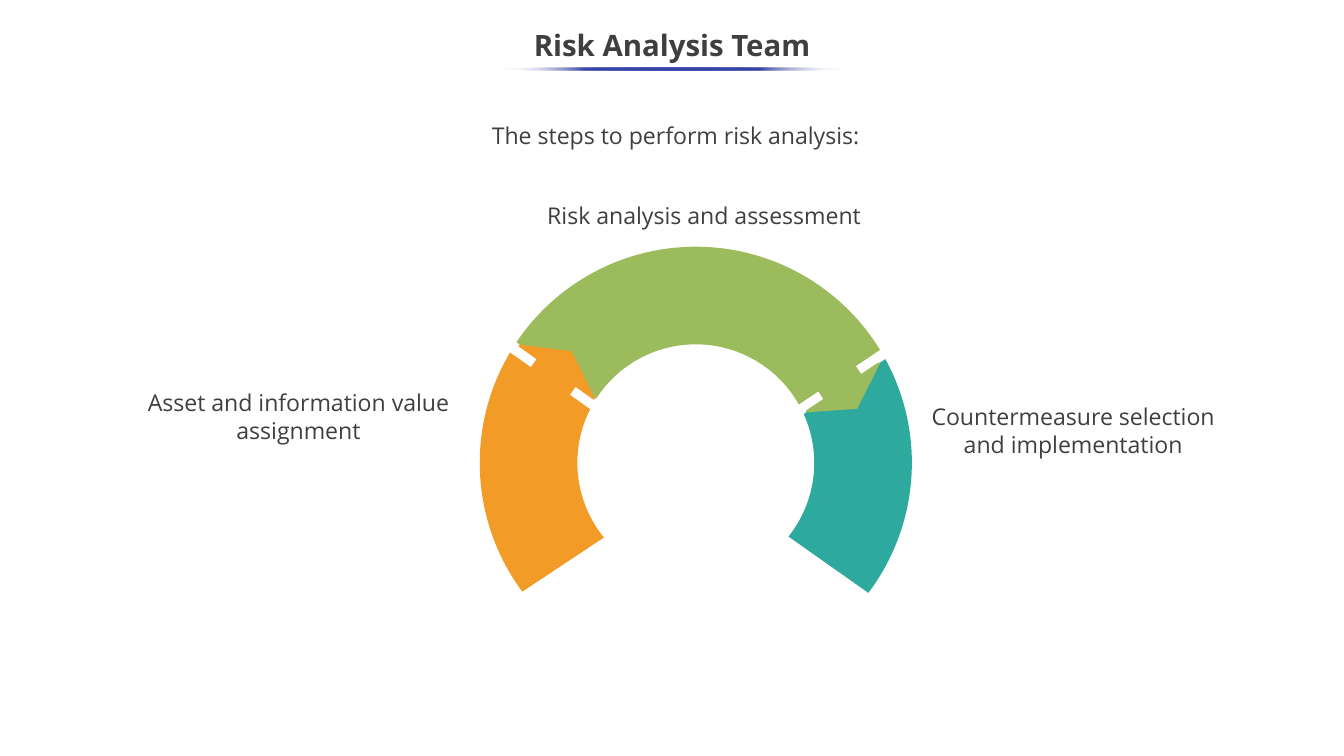
from dataclasses import dataclass
from math import cos, radians, sin, tan

from lxml.etree import SubElement
from pptx import Presentation
from pptx.dml.color import RGBColor
from pptx.enum.shapes import MSO_SHAPE
from pptx.enum.text import MSO_ANCHOR, MSO_AUTO_SIZE, PP_ALIGN
from pptx.oxml.ns import qn
from pptx.util import Cm, Pt


@dataclass(frozen=True)
class Theme:
    font: str = "Open Sans"
    text: str = "3F3F3F"
    countermeasure: str = "2DA99D"
    assessment: str = "9BBB5C"
    asset: str = "F29B26"
    rule: str = "3645A9"
    rule_end: str = "FFFFFF"
    title_size: int = 28
    body_size: int = 22
    arrow_line: int = 2


class SlideBuilder:
    def __init__(self, slide, theme):
        self.slide = slide
        self.theme = theme

    def text(self, words, left, top, width, height, size=None, bold=False,
             spacing=None, anchor=MSO_ANCHOR.TOP, side_inset=0.25):
        box = self.slide.shapes.add_textbox(Cm(left), Cm(top), Cm(width), Cm(height))
        frame = box.text_frame
        frame.word_wrap = True
        frame.vertical_anchor = anchor
        frame.margin_left = frame.margin_right = Cm(side_inset)
        frame.margin_top = frame.margin_bottom = Cm(0.13)
        frame.text = words
        paragraph = frame.paragraphs[0]
        paragraph.alignment = PP_ALIGN.CENTER
        paragraph.line_spacing = spacing
        font = paragraph.runs[0].font
        font.name = self.theme.font
        font.size = Pt(size or self.theme.body_size)
        font.bold = bold
        font.color.rgb = RGBColor.from_string(self.theme.text)
        return frame

    def step_label(self, words, left, top, width, height):
        frame = self.text(words, left, top, width, height)
        frame.auto_size = MSO_AUTO_SIZE.SHAPE_TO_FIT_TEXT

    def ring_segment(self, color, outer_angles, inner_angles):
        """Draw part of the ring from (start, axis, end) degrees, counterclockwise from the right."""
        center_x, center_y, outer_radius, inner_radius = 23.38, 15.55, 7.26, 3.98

        def point(radius, degrees, tangent=0):
            """Give the point on the circle, moved along its tangent by a share of the radius."""
            a = radians(degrees)
            return (Cm(center_x + radius * (cos(a) - tangent * sin(a))),
                    Cm(center_y - radius * (sin(a) + tangent * cos(a))))

        def curves(radius, angles):
            """Give each arc as a cubic curve: two handles and an end."""
            for start, end in zip(angles, angles[1:]):
                handle = 4 / 3 * tan(radians(end - start) / 4)
                yield point(radius, start, handle), point(radius, end, -handle), point(radius, end)

        inner_angles = inner_angles[::-1]
        outer = list(curves(outer_radius, outer_angles))
        inner = list(curves(inner_radius, inner_angles))
        inner_start = point(inner_radius, inner_angles[0])
        edges = outer + [None] + inner
        corners = [edge[-1] if edge else inner_start for edge in edges]
        builder = self.slide.shapes.build_freeform(*point(outer_radius, outer_angles[0]))
        builder.add_line_segments(corners, close=True)
        segment = builder.convert_to_shape()
        for line, edge in zip(list(segment.element.iter(qn("a:lnTo"))), edges):
            if edge:
                line.addprevious(curve := line.makeelement(qn("a:cubicBezTo")))
                for x, y in edge:
                    SubElement(curve, qn("a:pt"), x=str(x - segment.left), y=str(y - segment.top))
                line.getparent().remove(line)
        segment.shadow.inherit = False
        segment.fill.solid()
        segment.fill.fore_color.rgb = RGBColor.from_string(color)
        segment.line.fill.background()

    def arrow(self, color, left, top, width, height, rotation):
        arrow = self.slide.shapes.add_shape(
            MSO_SHAPE.UP_ARROW, Cm(left), Cm(top), Cm(width), Cm(height))
        arrow.rotation = rotation
        arrow.shadow.inherit = False
        arrow.fill.solid()
        arrow.fill.fore_color.rgb = RGBColor.from_string(color)
        arrow.line.color.rgb = RGBColor.from_string(color)
        arrow.line.width = Pt(self.theme.arrow_line)

    def fading_rule(self, left, top, width, height):
        """Draw a thin ellipse that fades to transparent at both ends."""
        rule = self.slide.shapes.add_shape(
            MSO_SHAPE.OVAL, Cm(left), Cm(top), Cm(width), Cm(height))
        rule.shadow.inherit = False
        rule.line.fill.background()
        rule.fill.gradient()
        rule.fill.gradient_angle = 180
        stops = rule.element.spPr.find(qn("a:gradFill")).find(qn("a:gsLst"))
        for stop in list(stops):
            stops.remove(stop)
        for percent in range(0, 101, 25):
            at_end = percent in (0, 100)
            stop = SubElement(stops, qn("a:gs"), pos=str(percent * 1000))
            color = SubElement(stop, qn("a:srgbClr"),
                               val=self.theme.rule_end if at_end else self.theme.rule)
            if at_end:
                SubElement(color, qn("a:alpha"), val="0")


def main():
    theme = Theme()
    presentation = Presentation()
    presentation.slide_width = Cm(45.16)
    presentation.slide_height = Cm(25.4)
    slide = presentation.slides.add_slide(presentation.slide_layouts[6])
    page = SlideBuilder(slide, theme)

    page.text("Risk Analysis Team", 0, 0.64, 45.16, 1.9, size=theme.title_size,
              bold=True, spacing=0.9, anchor=MSO_ANCHOR.MIDDLE)
    page.text("The steps to perform risk analysis:", 16.1, 3.76, 13.21, 1.42,
              spacing=1.2, side_inset=0.13)

    page.ring_segment(theme.countermeasure, (28.7, 0, -37), (24.3, 0, -38.5))
    page.ring_segment(theme.assessment, (31.5, 90, 146.1), (29.5, 90, 147.2))
    page.arrow(theme.assessment, 26.87, 12.19, 2.9, 1.65, 146.4)
    page.ring_segment(theme.asset, (149.3, 180, 216.6), (153.1, 180, 219.1))
    page.arrow(theme.asset, 17.17, 11.68, 3.07, 1.65, 35.4)

    page.step_label("Countermeasure selection and implementation", 30.66, 13.4, 10.8, 3.07)
    page.step_label("Asset and information value assignment", 4.19, 12.93, 11.68, 2.13)
    page.step_label("Risk analysis and assessment", 17.55, 6.62, 12.22, 1.19)
    page.fading_rule(16.76, 2.26, 11.68, 0.1)

    presentation.save("out.pptx")


if __name__ == "__main__":
    main()
